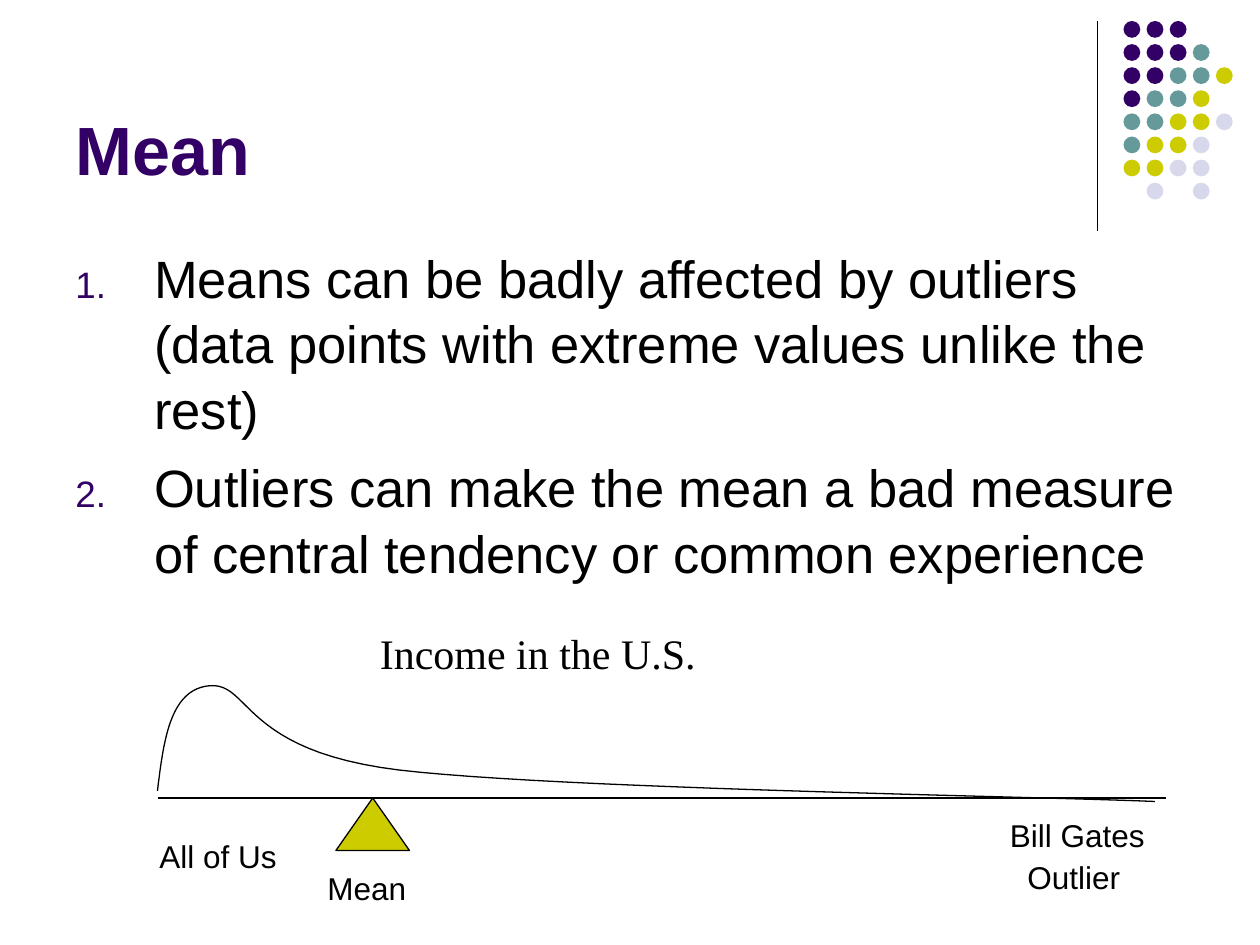
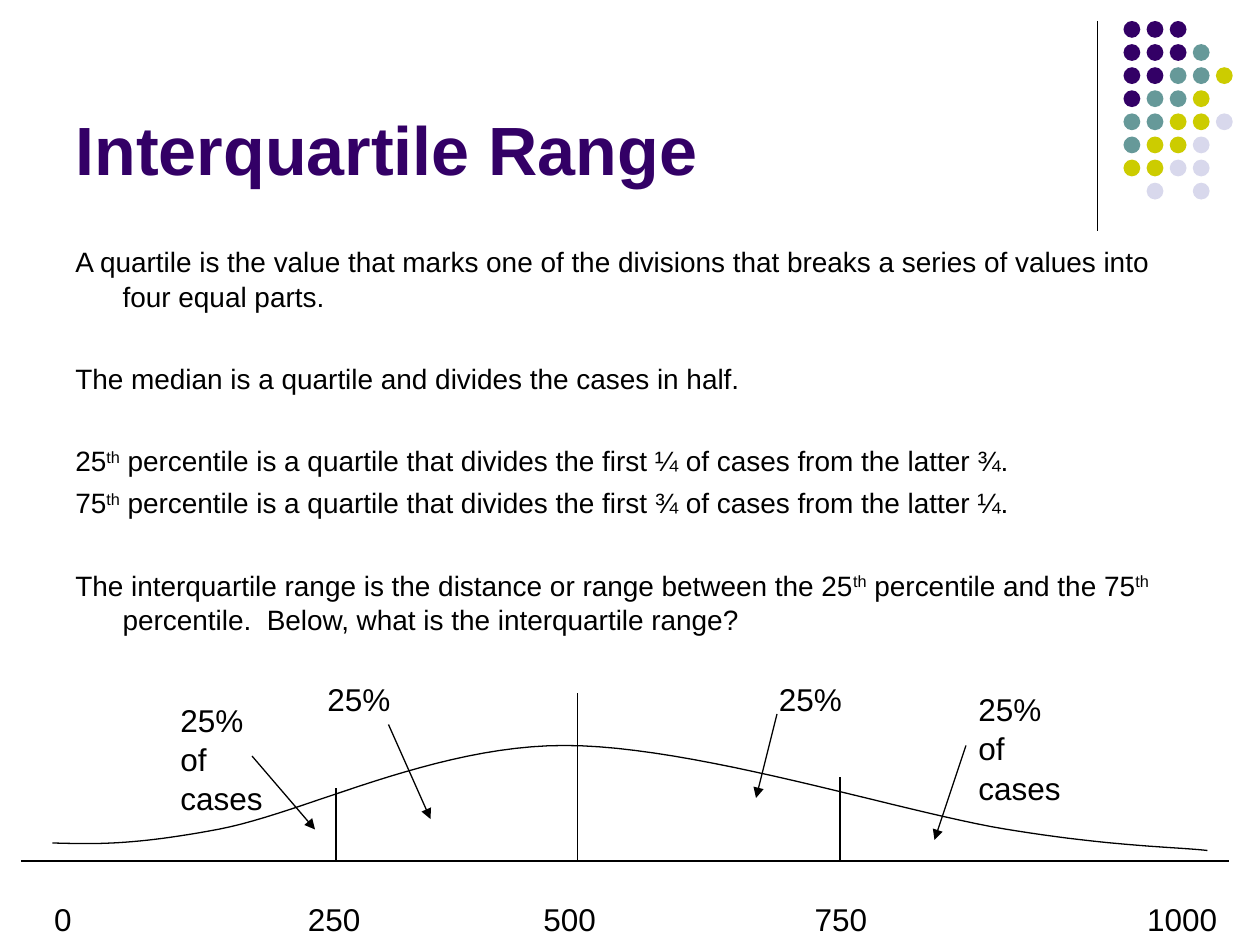
import pptx
import pptx.util
import pptx.dml.color
import pptx.enum.shapes
import pptx.enum.text
import pptx.oxml.ns
import lxml.etree

Pt = pptx.util.Pt
SHAPES = pptx.enum.shapes.MSO_SHAPE
ALIGN = pptx.enum.text.PP_ALIGN
ANCHOR = pptx.enum.text.MSO_ANCHOR

COLOURS = {
    "purple": "330066",
    "teal": "669999",
    "yellow": "CCCC00",
    "lavender": "D8D8EC",
    "black": "000000",
}
DOT_COLOURS = {"P": "purple", "T": "teal", "Y": "yellow", "L": "lavender"}
DOT_ROWS = ["PPP", "PPPT", "PPTTY", "PTTY", "TTYYL", "TYYL", "YYLL", ".L.L"]
DOT_LEFT, DOT_TOP, DOT_PITCH, DOT_SIZE = 642, 12, 13.2, 9.6
LINE_SPACING = 1.04

MEAN_POINTS = [
    ("Means can be badly affected by outliers (data points with extreme values unlike the rest)", 0),
    ("Outliers can make the mean a bad measure of central tendency or common experience", 7.5),
]
MEAN_LABELS = [
    ("All of Us", 84, 474, 126),
    ("Bill Gates", 570, 462, 108),
    ("Mean", 180, 492, 126),
    ("Outlier", 580, 486, 116),
]
INCOME_CURVE = [
    (90, 452), (93.6, 422.6), (97.2, 393.8), (120, 391.8),
    (143.3, 390.2), (138.2, 429.1), (228, 440),
    (318, 450.7), (588, 455), (660, 458),
]

QUARTILE_POINTS = [
    ("A quartile is the value that marks one of the divisions that breaks a series of values "
     "into four equal parts.", 0),
    ("The median is a quartile and divides the cases in half.", 27),
    ("25^th^ percentile is a quartile that divides the first ¼ of cases from the latter ¾.", 27),
    ("75^th^ percentile is a quartile that divides the first ¾ of cases from the latter ¼.", 4),
    ("The interquartile range is the distance or range between the 25^th^ percentile and the "
     "75^th^ percentile.  Below, what is the interquartile range?", 27),
]
QUARTILE_CURVE = [
    (30, 481.7), (53.3, 482.4), (76.3, 483.1), (125.3, 473.8),
    (174.2, 464.4), (247.7, 426), (322.6, 426),
    (397.4, 426), (513.4, 463.7), (574.6, 473.8),
    (635.8, 483.8), (669.6, 483.8), (690, 486),
]
QUARTILE_BASE = 492
QUARTILE_MARKS = [(192, 450), (330, 396), (480, 444)]
AXIS_LABELS = [("0", 36), ("250", 191), ("500", 325.5), ("750", 480.5), ("1000", 675.5)]
SHARE_LABELS = [
    ("25% of cases", 96, 396),
    ("25%", 180, 384),
    ("25%", 438, 384),
    ("25% of cases", 552, 390),
]
SHARE_ARROWS = [
    (144, 432, 180, 474),
    (222, 414, 246, 468),
    (444, 408, 432, 456),
    (552, 426, 534, 480),
]


def colour(name):
    return pptx.dml.color.RGBColor.from_string(COLOURS[name])


def add_child(parent, tag, **attributes):
    child = lxml.etree.SubElement(parent, pptx.oxml.ns.qn(tag))
    for key, value in attributes.items():
        child.set(key, value)
    return child


def style_font(paragraph, size, name="Arial", ink="black", bold=False):
    font = paragraph.font
    font.name, font.size, font.bold = name, Pt(size), bold
    font.color.rgb = colour(ink)


def style_line(shape):
    shape.line.color.rgb = colour("black")
    shape.line.width = Pt(0.75)


def add_line(slide, x1, y1, x2, y2, arrow=False):
    line = slide.shapes.add_connector(
        pptx.enum.shapes.MSO_CONNECTOR.STRAIGHT, Pt(x1), Pt(y1), Pt(x2), Pt(y2))
    style_line(line)
    if arrow:
        add_child(line.line._get_or_add_ln(), "a:tailEnd", type="triangle")
    add_child(line._element.spPr, "a:effectLst")


def add_preset(slide, kind, left, top, width, height, fill):
    shape = slide.shapes.add_shape(kind, Pt(left), Pt(top), Pt(width), Pt(height))
    shape.shadow.inherit = False
    shape.fill.solid()
    shape.fill.fore_color.rgb = colour(fill)
    shape.line.fill.background()
    return shape


def add_curve(slide, controls, steps=24):
    points = []
    for start in range(0, len(controls) - 1, 3):
        segment = controls[start:start + 4]
        for step in range(1, steps + 1):
            t = step / steps
            weights = ((1 - t) ** 3, 3 * t * (1 - t) ** 2, 3 * t * t * (1 - t), t ** 3)
            points.append(tuple(
                Pt(sum(weight * point[axis] for weight, point in zip(weights, segment)))
                for axis in (0, 1)))
    builder = slide.shapes.build_freeform(Pt(controls[0][0]), Pt(controls[0][1]))
    builder.add_line_segments(points, close=False)
    curve = builder.convert_to_shape()
    curve.shadow.inherit = False
    curve.fill.background()
    style_line(curve)


def add_text_frame(slide, left, top, width, height):
    frame = slide.shapes.add_textbox(Pt(left), Pt(top), Pt(width), Pt(height)).text_frame
    frame.word_wrap = True
    return frame


def add_label(slide, text, left, top, width, size=18, name="Arial", align=ALIGN.LEFT):
    paragraph = add_text_frame(slide, left, top, width, size * 1.2 + 7.2).paragraphs[0]
    paragraph.text = text
    paragraph.alignment = align
    paragraph.line_spacing = LINE_SPACING
    style_font(paragraph, size, name)


def add_body(slide, points, size, indent, numbered=False):
    frame = add_text_frame(slide, 36, 135.5, 648, 347)
    for index, (text, gap) in enumerate(points):
        paragraph = frame.add_paragraph() if index else frame.paragraphs[0]
        for position, part in enumerate(text.split("^")):
            run = paragraph.add_run()
            run.text = part
            if position % 2:
                run._r.get_or_add_rPr().set("baseline", "30000")
        paragraph.line_spacing = LINE_SPACING
        paragraph.space_before = Pt(gap)
        properties = paragraph._p.get_or_add_pPr()
        properties.set("marL", str(Pt(indent)))
        properties.set("indent", str(-Pt(indent)))
        if numbered:
            add_child(add_child(properties, "a:buClr"), "a:srgbClr", val=COLOURS["purple"])
            add_child(properties, "a:buSzPct", val="70000")
            add_child(properties, "a:buAutoNum", type="arabicPeriod")
        style_font(paragraph, size)


def add_titled_slide(presentation, text):
    slide = presentation.slides.add_slide(presentation.slide_layouts[5])
    title = slide.shapes.title
    title.left, title.top, title.width, title.height = Pt(36), Pt(9.5), Pt(594), Pt(102)
    title.text_frame.text = text
    title.text_frame.vertical_anchor = ANCHOR.BOTTOM
    paragraph = title.text_frame.paragraphs[0]
    paragraph.alignment = ALIGN.LEFT
    style_font(paragraph, 39, ink="purple", bold=True)
    add_line(slide, 627, 12, 627, 132)
    for row, codes in enumerate(DOT_ROWS):
        for column, code in enumerate(codes):
            if code in DOT_COLOURS:
                add_preset(slide, SHAPES.OVAL, DOT_LEFT + column * DOT_PITCH,
                           DOT_TOP + row * DOT_PITCH, DOT_SIZE, DOT_SIZE, DOT_COLOURS[code])
    return slide


def build_mean_slide(presentation):
    slide = add_titled_slide(presentation, "Mean")
    add_body(slide, MEAN_POINTS, 30, 45, numbered=True)
    add_line(slide, 90, 456, 666, 456)
    style_line(add_preset(slide, SHAPES.ISOSCELES_TRIANGLE, 192, 456, 42, 30, "yellow"))
    add_curve(slide, INCOME_CURVE)
    for text, left, top, width in MEAN_LABELS:
        add_label(slide, text, left, top, width)
    add_label(slide, "Income in the U.S.", 210, 354, 288, 24, "Times New Roman")


def build_quartile_slide(presentation):
    slide = add_titled_slide(presentation, "Interquartile Range")
    add_body(slide, QUARTILE_POINTS, 16, 27)
    add_curve(slide, QUARTILE_CURVE)
    add_line(slide, 12, QUARTILE_BASE, 702, QUARTILE_BASE)
    for x, top in QUARTILE_MARKS:
        add_line(slide, x, QUARTILE_BASE, x, top)
    for text, centre in AXIS_LABELS:
        add_label(slide, text, centre - 36, 510, 72, align=ALIGN.CENTER)
    for text, left, top in SHARE_LABELS:
        add_label(slide, text, left, top, 66)
    for arrow in SHARE_ARROWS:
        add_line(slide, *arrow, arrow=True)


def main():
    presentation = pptx.Presentation()
    presentation.slide_width, presentation.slide_height = Pt(720), Pt(540)
    build_mean_slide(presentation)
    build_quartile_slide(presentation)
    presentation.save("out.pptx")


if __name__ == "__main__":
    main()
